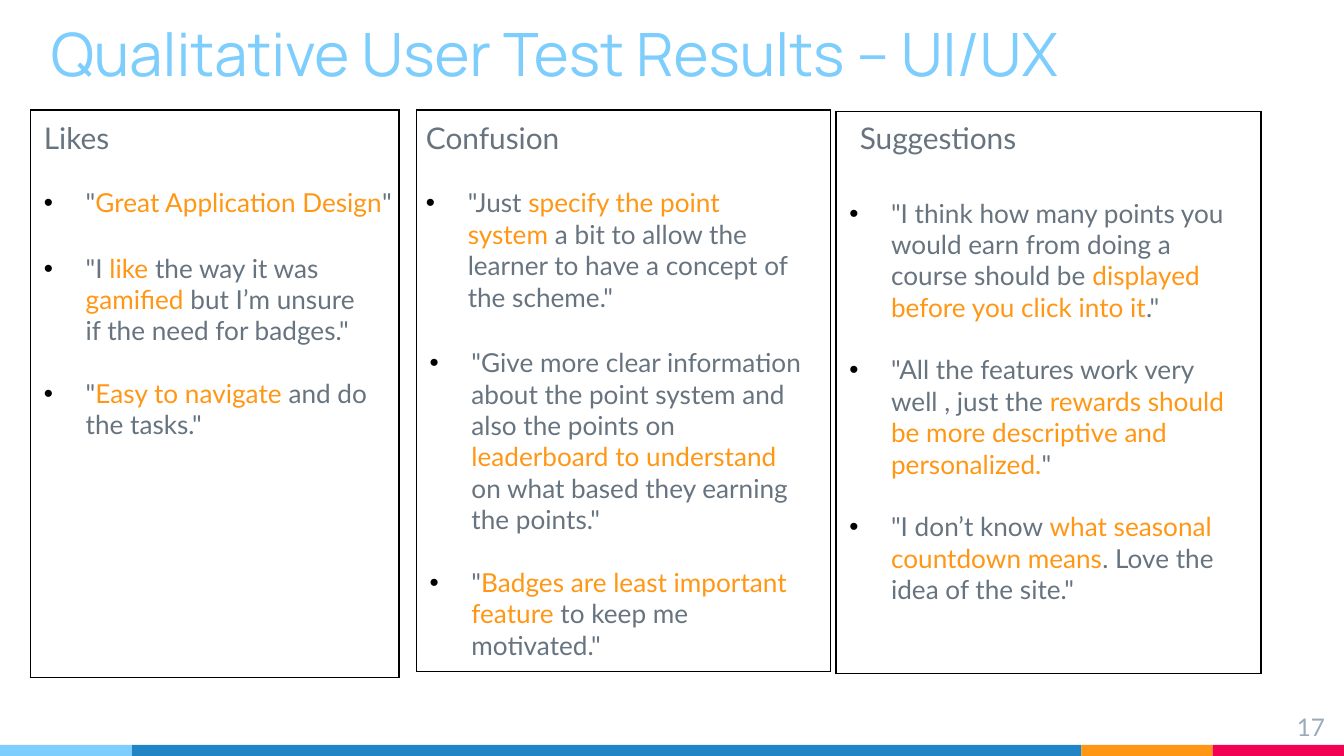
from lxml import etree
from pptx import Presentation
from pptx.dml.color import RGBColor
from pptx.enum.shapes import MSO_SHAPE
from pptx.enum.text import MSO_ANCHOR, MSO_AUTO_SIZE, PP_ALIGN
from pptx.oxml.ns import qn
from pptx.util import Cm, Pt

RECTANGLE = MSO_SHAPE.RECTANGLE
TOP, BOTTOM = MSO_ANCHOR.TOP, MSO_ANCHOR.BOTTOM
NO_AUTOFIT = MSO_AUTO_SIZE.NONE
LEFT, RIGHT = PP_ALIGN.LEFT, PP_ALIGN.RIGHT

COLORS = {
    "sky": "7ECEFD", "blue": "2185C5", "orange": "FF9715", "red": "F20253",
    "text": "677480", "number": "97ABBC", "black": "000000",
}
TITLE = "Qualitative User Test Results – UI/UX"
PAGE_NUMBER = "17"
FOOTER_BANDS = [("sky", 2.5), ("blue", 17.94), ("orange", 2.48), ("red", 2.48)]

# In each quote, every second piece is highlighted.
# "opening" quotes follow the heading; "framed" quotes sit in the bordered cell.
COLUMNS = [
    {
        "heading": "Likes", "heading_left": 0.58,
        "frame": (0.58, 2.08, 6.96, 10.72), "quotes_offset": 2.69,
        "opening": [['"', "Great Application Design", '"']],
        "framed": [
            ['"I ', "like ", "the way it was ", "gamified ",
             'but I’m unsure if the need for badges."'],
            ['"', "Easy to navigate", ' and do the tasks."'],
        ],
    },
    {
        "heading": "Confusion", "heading_left": 7.8,
        "frame": (7.87, 2.08, 7.82, 10.62), "quotes_offset": 4.48,
        "opening": [
            ['"Just ', "specify the point system",
             ' a bit to allow the learner to have a concept of the scheme."'],
        ],
        "framed": [
            ['"Give more clear information about the point system and also the points on ',
             "leaderboard to understand", ' on what based they earning the points."'],
            ['"', "Badges are least important feature", ' to keep me motivated."'],
        ],
    },
    {
        "heading": "Suggestions", "heading_left": 16,
        "frame": (15.8, 2.11, 8.03, 10.62), "quotes_offset": 1.62,
        "opening": [],
        "framed": [
            ['"I think how many points you would earn from doing a course should be ',
             "displayed before you click into it", '."'],
            ['"All the features work very well , just the',
             " rewards should be more descriptive and personalized.", '"'],
            ['"I don’t know ', "what seasonal countdown means",
             '. Love the idea of the site."'],
        ],
    },
]
HEADING_TOP, HEADING_WIDTH, HEADING_HEIGHT = 2.13, 7.62, 3.9
QUOTE_GAP = Pt(16.8)
QUOTE_INDENT = Cm(0.79)


def rgb(color):
    return RGBColor.from_string(COLORS[color])


def add_run(paragraph, text, size, color, font="Lato"):
    run = paragraph.add_run()
    run.text = text
    run.font.name = font
    run.font.size = Pt(size)
    run.font.bold = False
    run.font.color.rgb = rgb(color)


def set_frame(frame, anchor, inset_x=0.25, inset_y=0.25):
    frame.word_wrap = True
    frame.auto_size = NO_AUTOFIT
    frame.vertical_anchor = anchor
    frame.margin_left = frame.margin_right = Cm(inset_x)
    frame.margin_top = frame.margin_bottom = Cm(inset_y)


def place(shape, left, top, width, height):
    shape.left, shape.top = Cm(left), Cm(top)
    shape.width, shape.height = Cm(width), Cm(height)


def format_paragraph(paragraph, gap=0, bulleted=False):
    paragraph.alignment = LEFT
    paragraph.space_before = gap
    properties = paragraph._p.get_or_add_pPr()
    indent = QUOTE_INDENT if bulleted else 0
    properties.set("marL", str(indent))
    properties.set("indent", str(-indent))
    if bulleted:
        bullet_color = etree.SubElement(properties, qn("a:buClr"))
        etree.SubElement(bullet_color, qn("a:srgbClr"), val=COLORS["black"])
        etree.SubElement(properties, qn("a:buFont"), typeface="Arial")
        etree.SubElement(properties, qn("a:buChar"), char="•")
    else:
        etree.SubElement(properties, qn("a:buNone"))


def add_quote(paragraph, pieces, gap):
    format_paragraph(paragraph, gap, bulleted=True)
    for index, piece in enumerate(pieces):
        add_run(paragraph, piece, 14, "orange" if index % 2 else "text")


def add_borders(cell):
    properties = cell._tc.get_or_add_tcPr()
    for side in ("lnL", "lnR", "lnT", "lnB"):
        line = etree.SubElement(properties, qn(f"a:{side}"), w=str(Pt(0.75)))
        fill = etree.SubElement(line, qn("a:solidFill"))
        etree.SubElement(fill, qn("a:srgbClr"), val=COLORS["black"])


def fill_heading(placeholder, column):
    place(placeholder, column["heading_left"], HEADING_TOP, HEADING_WIDTH, HEADING_HEIGHT)
    frame = placeholder.text_frame
    set_frame(frame, TOP, inset_y=0.13)
    format_paragraph(frame.paragraphs[0])
    add_run(frame.paragraphs[0], column["heading"], 16, "text")
    for quote in column["opening"]:
        add_quote(frame.add_paragraph(), quote, QUOTE_GAP)


def add_framed_quotes(slide, column):
    table = slide.shapes.add_table(1, 1, *map(Cm, column["frame"])).table
    table.first_row = table.horz_banding = False
    cell = table.cell(0, 0)
    add_borders(cell)
    cell.fill.background()
    cell.margin_left, cell.margin_right = Cm(0.25), Cm(0.43)
    cell.margin_top, cell.margin_bottom = Cm(column["quotes_offset"]), Cm(0.13)
    frame = cell.text_frame
    for index, quote in enumerate(column["framed"]):
        paragraph = frame.add_paragraph() if index else frame.paragraphs[0]
        add_quote(paragraph, quote, QUOTE_GAP if index else 0)


def add_footer(slide):
    left = 0
    for color, width in FOOTER_BANDS:
        band = slide.shapes.add_shape(RECTANGLE, Cm(left), Cm(14.08), Cm(width), Cm(0.21))
        band.shadow.inherit = False
        band.fill.solid()
        band.fill.fore_color.rgb = rgb(color)
        band.line.fill.background()
        left += width
    number = slide.shapes.add_textbox(Cm(23.77), Cm(13.21), Cm(1.52), Cm(0.86))
    set_frame(number.text_frame, TOP)
    paragraph = number.text_frame.paragraphs[0]
    paragraph.alignment = RIGHT
    add_run(paragraph, PAGE_NUMBER, 13, "number")


def main():
    presentation = Presentation()
    presentation.slide_width, presentation.slide_height = Cm(25.4), Cm(14.29)
    comparison_layout = presentation.slide_layouts[4]
    slide = presentation.slides.add_slide(comparison_layout)
    add_footer(slide)

    title = slide.shapes.title
    place(title, 0.71, 0.33, 20.9, 1.6)
    set_frame(title.text_frame, BOTTOM)
    format_paragraph(title.text_frame.paragraphs[0])
    add_run(title.text_frame.paragraphs[0], TITLE, 32, "sky", "Manrope")

    *headings, spare = list(slide.placeholders)[1:]
    spare.element.getparent().remove(spare.element)
    for heading, column in zip(headings, COLUMNS):
        fill_heading(heading, column)
        add_framed_quotes(slide, column)
    presentation.save("out.pptx")


if __name__ == "__main__":
    main()
